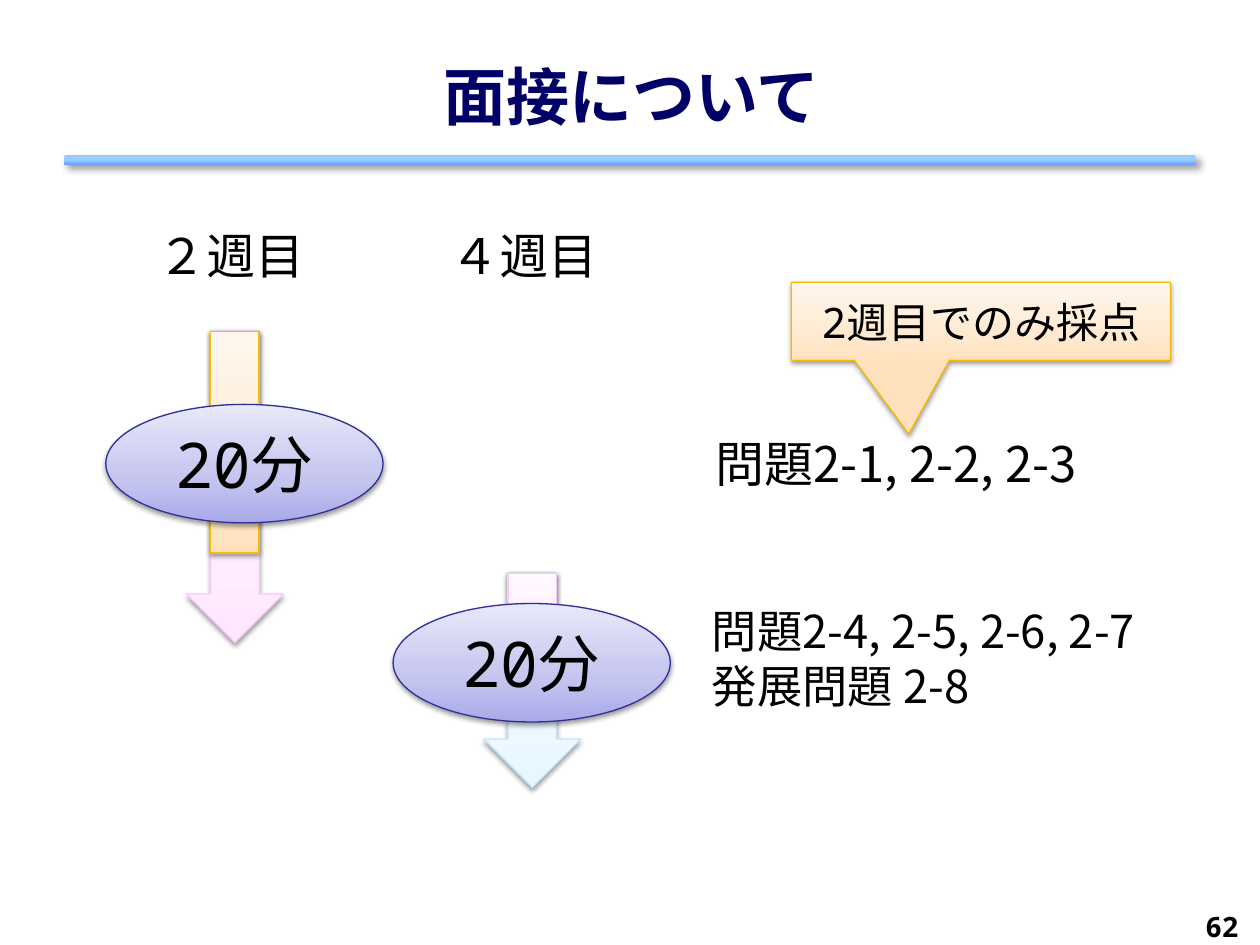
from dataclasses import dataclass

from lxml.etree import SubElement
from pptx import Presentation
from pptx.dml.color import RGBColor
from pptx.enum.shapes import MSO_SHAPE
from pptx.enum.text import MSO_ANCHOR, PP_ALIGN
from pptx.oxml.ns import qn
from pptx.util import Inches, Pt


@dataclass(frozen=True)
class Tint:
    stops: tuple
    line: str = None
    angle: int = 90


@dataclass(frozen=True)
class Theme:
    mono: str = "Noto Sans Mono"
    sans: str = "Noto Sans CJK JP"
    ink: str = "000000"
    navy: str = "000066"
    big: float = 36
    body: float = 28
    tasks: float = 25.9
    note: float = 24
    number: float = 16
    hairline: float = 0.75
    soft: tuple = (38, 3.1, 1.6, 90)
    slanted: tuple = (40, 4, 3, 45)
    bar: Tint = Tint(((0, "99CCFF"), (50, "99CCFF"), (100, "6699FF")), angle=270)
    orange: Tint = Tint(((0, "FFE2BD"), (35, "FFEAD1"), (100, "FFF7EE")), "F9BC00")
    pink: Tint = Tint(((0, "FFE7FF"), (35, "FFEEFF"), (100, "FFF8FF")), "FBC6FB")
    blue: Tint = Tint(((0, "E7F6FF"), (35, "EEF8FF"), (100, "F8FCFF")), "C6E7FB")
    violet: Tint = Tint(((0, "A9A9E9"), (35, "C4C4EF"), (100, "E8E8FA")), "2F2F98")


class Deck:
    COLS, ROWS = 100, 75

    def __init__(self, theme):
        self.theme = theme
        self.prs = Presentation()
        self.prs.slide_width, self.prs.slide_height = Inches(10), Inches(7.5)
        self.s = self.prs.slides.add_slide(self.prs.slide_layouts[5])

    def box(self, col, row, cols, rows):
        x = self.prs.slide_width / self.COLS
        y = self.prs.slide_height / self.ROWS
        return [round(v) for v in (col * x, row * y, cols * x, rows * y)]

    def fill_text(self, sp, lines, size, font, align=PP_ALIGN.LEFT, color=None,
                  bold=False, spacing=None, before=0):
        tf = sp.text_frame
        tf.word_wrap = True
        for i, line in enumerate(lines):
            p = tf.add_paragraph() if i else tf.paragraphs[0]
            p.alignment = align
            if spacing:
                p.line_spacing = spacing
            if i:
                p.space_before = Pt(before)
            r = p.add_run()
            r.text = line
            r.font.size, r.font.bold, r.font.name = Pt(size), bold, font
            r.font.color.rgb = RGBColor.from_string(color or self.theme.ink)
            SubElement(r.font._element, qn("a:ea"), typeface=font)
        return tf

    def title(self, text, *cells):
        sp = self.s.shapes.title
        sp.left, sp.top, sp.width, sp.height = self.box(*cells)
        tf = self.fill_text(sp, [text], self.theme.big, self.theme.mono,
                            PP_ALIGN.CENTER, self.theme.navy, True)
        tf.vertical_anchor = MSO_ANCHOR.MIDDLE

    def text(self, lines, cells, size, font=None, **style):
        sp = self.s.shapes.add_textbox(*self.box(*cells))
        self.fill_text(sp, lines, size, font or self.theme.sans, **style)

    def shape(self, kind, cells, tint, label=None, size=None, shadow=None):
        sp = self.s.shapes.add_shape(kind, *self.box(*cells))
        sp.fill.gradient()
        sp.fill.gradient_angle = tint.angle
        stops = next(sp._element.spPr.iter(qn("a:gsLst")))
        for gs in list(stops):
            stops.remove(gs)
        for pos, color in tint.stops:
            gs = SubElement(stops, qn("a:gs"), pos=str(pos * 1000))
            SubElement(gs, qn("a:srgbClr"), val=color)
        if tint.line:
            sp.line.color.rgb = RGBColor.from_string(tint.line)
            sp.line.width = Pt(self.theme.hairline)
        else:
            sp.line.fill.background()
        self.cast(sp, *(shadow or self.theme.soft))
        if label:
            tf = self.fill_text(sp, [label], size, self.theme.mono, PP_ALIGN.CENTER)
            tf.vertical_anchor = MSO_ANCHOR.MIDDLE
        return sp

    def cast(self, sp, alpha, blur, dist, angle):
        sp.shadow.inherit = False
        effects = sp._element.spPr.find(qn("a:effectLst"))
        shadow = SubElement(effects, qn("a:outerShdw"), blurRad=str(Pt(blur)),
                            dist=str(Pt(dist)), dir=str(angle * 60000), rotWithShape="0")
        color = SubElement(shadow, qn("a:srgbClr"), val=self.theme.ink)
        SubElement(color, qn("a:alpha"), val=str(alpha * 1000))

    def callout(self, text, cells, tip):
        sp = self.shape(MSO_SHAPE.RECTANGULAR_CALLOUT, cells, self.theme.orange,
                        text, self.theme.note)
        sp.adjustments[0], sp.adjustments[1] = tip

    def week(self, name, label, arrow, stem_rows, oval, tints):
        self.text([name], label, self.theme.body)
        col, row, cols, rows = arrow
        self.shape(MSO_SHAPE.DOWN_ARROW, arrow, tints[0])
        self.shape(MSO_SHAPE.RECTANGLE, (col + cols / 4, row, cols / 2, stem_rows), tints[1])
        self.shape(MSO_SHAPE.OVAL, (*oval, 22, 9.4), self.theme.violet,
                   "20分", self.theme.big)


def main():
    theme = Theme()
    deck = Deck(theme)
    deck.shape(MSO_SHAPE.ROUNDED_RECTANGLE, (5.1, 12.3, 89.8, 0.8), theme.bar,
               shadow=theme.slanted)
    deck.title("面接について", 5.1, 3.6, 90, 7.9)
    deck.text(["62"], (92.5, 71.7, 6.8, 3.3), theme.number, theme.mono,
              align=PP_ALIGN.RIGHT, bold=True)
    deck.callout("2週目でのみ採点", (62.8, 22.4, 30.1, 6.2), (-0.19, 1.44))
    deck.week("２週目", (11.5, 17.4, 15.5, 5.7), (14.8, 26.3, 7.7, 24.7), 17.6,
              (8.4, 32.1), (theme.pink, theme.orange))
    deck.week("４週目", (34.8, 17.4, 14.7, 5.7), (38.4, 45.5, 7.7, 17), 7.2,
              (31.2, 47.9), (theme.blue, theme.pink))
    deck.text(["問題2-1, 2-2, 2-3"], (55.8, 33.9, 36.3, 6.4), theme.body)
    deck.text(["問題2-4, 2-5, 2-6, 2-7", "発展問題 2-8"], (55.5, 47.9, 41.1, 10.8),
              theme.tasks, spacing=0.9, before=3)
    deck.prs.save("out.pptx")


if __name__ == "__main__":
    main()
